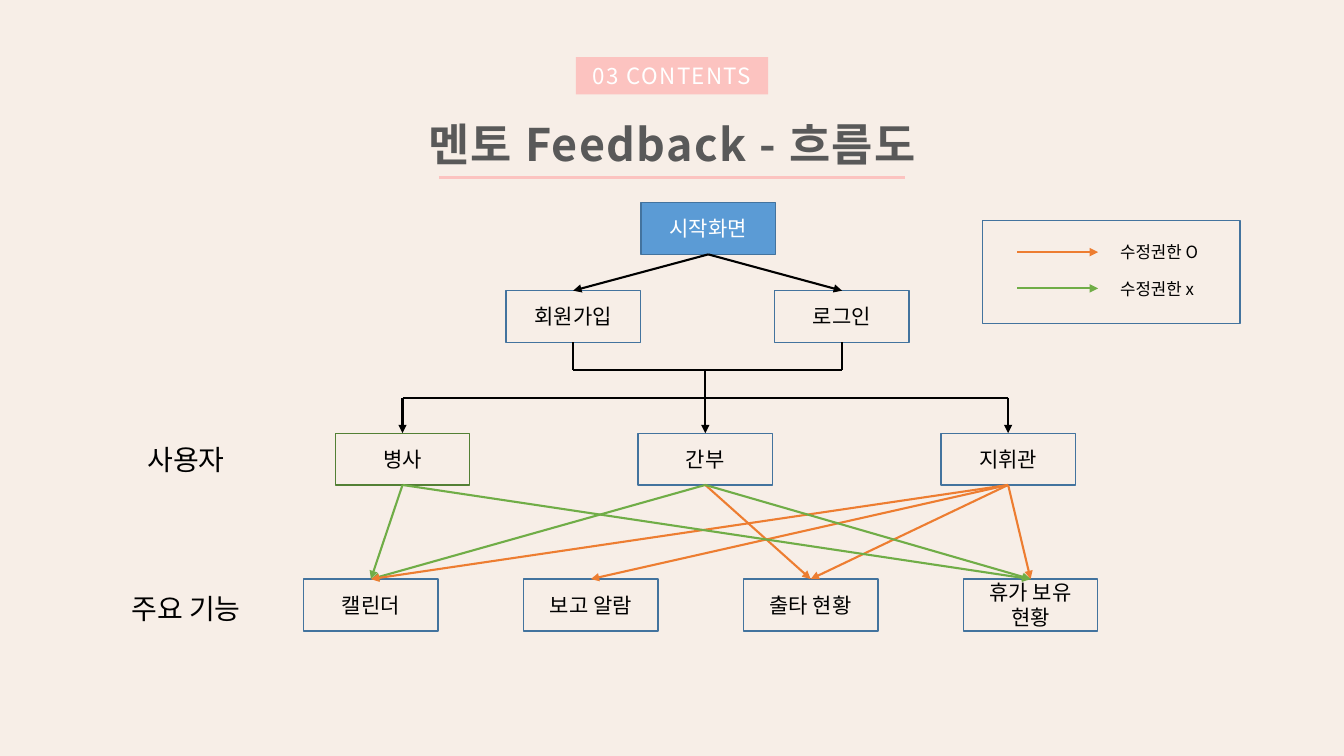
from lxml.etree import SubElement
from pptx import Presentation
from pptx.dml.color import RGBColor
from pptx.enum.shapes import MSO_CONNECTOR, MSO_SHAPE
from pptx.enum.text import MSO_ANCHOR, PP_ALIGN
from pptx.oxml.ns import qn
from pptx.util import Inches, Pt

FONT = "Noto Sans CJK KR"
CREAM = RGBColor(0xF7, 0xEE, 0xE7)
PINK = RGBColor(0xFC, 0xC3, 0xC0)
WHITE = RGBColor(0xFF, 0xFF, 0xFF)
BLACK = RGBColor(0, 0, 0)
GRAY = RGBColor(0x59, 0x59, 0x59)
BLUE = RGBColor(0x5B, 0x9B, 0xD5)
NAVY = RGBColor(0x43, 0x73, 0x9E)
DARK_GREEN = RGBColor(0x53, 0x80, 0x35)
ORANGE = RGBColor(0xED, 0x7D, 0x31)
GREEN = RGBColor(0x70, 0xAD, 0x47)

deck = Presentation()
deck.slide_width = Inches(13.33)
deck.slide_height = Inches(7.5)
page = deck.slides.add_slide(deck.slide_layouts[6])
page.background.fill.solid()
page.background.fill.fore_color.rgb = CREAM

# A grid of 100 columns by 100 rows covers the slide.
COLUMN = deck.slide_width / 100
ROW = deck.slide_height / 100
NODE_WIDTH, NODE_HEIGHT = 10, 6.85
TOP, BOTTOM = 0, 2  # connection sites of a rectangle


def add_box(label, center, top, width=NODE_WIDTH, height=NODE_HEIGHT, size=15,
            color=BLACK, fill=None, outline=None, align=PP_ALIGN.CENTER):
    """Add a rectangle, or a text box when it has neither fill nor outline."""
    frame = [round(length) for length in ((center - width / 2) * COLUMN, top * ROW,
                                          width * COLUMN, height * ROW)]
    if fill is None and outline is None:
        box = page.shapes.add_textbox(*frame)
    else:
        box = page.shapes.add_shape(MSO_SHAPE.RECTANGLE, *frame)
        box.shadow.inherit = False
    if fill is None:
        box.fill.background()
    else:
        box.fill.solid()
        box.fill.fore_color.rgb = fill
    if outline is None:
        box.line.fill.background()
    else:
        box.line.color.rgb = outline
        box.line.width = Pt(1)
    box.text_frame.word_wrap = True
    box.text_frame.vertical_anchor = MSO_ANCHOR.MIDDLE
    box.text_frame.text = label
    para = box.text_frame.paragraphs[0]
    para.alignment = align
    for span in para.runs:
        span.font.name = FONT
        span.font.size = Pt(size)
        span.font.color.rgb = color
        SubElement(span.font._element, qn("a:ea")).set("typeface", FONT)
    return box


def add_line(start, end, color=BLACK, width=1.5, arrow=False):
    """Join two (column, row) points, or the bottom of one box to the top of another."""
    line = page.shapes.add_connector(MSO_CONNECTOR.STRAIGHT, 0, 0, 0, 0)
    if isinstance(start, tuple):
        line.begin_x, line.begin_y = round(start[0] * COLUMN), round(start[1] * ROW)
    else:
        line.begin_connect(start, BOTTOM)
    if isinstance(end, tuple):
        line.end_x, line.end_y = round(end[0] * COLUMN), round(end[1] * ROW)
    else:
        line.end_connect(end, TOP)
    line.line.color.rgb = color
    line.line.width = Pt(width)
    if arrow:
        SubElement(line.line._get_or_add_ln(), qn("a:tailEnd")).set("type", "triangle")
    SubElement(line._element.spPr, qn("a:effectLst"))


# Heading
section = add_box("03 CONTENTS", 50, 7.55, 14.3, 4.95, 16, WHITE, fill=PINK)
title = add_box("멘토 Feedback - 흐름도", 50, 14.7, 44, 8.5, 32, GRAY)
title.text_frame.paragraphs[0].runs[0].font.bold = True
for heading in (section, title):
    heading.text_frame.paragraphs[0].runs[0].font._element.set("spc", "100")
add_line((32.65, 23.5), (67.35, 23.5), PINK, 2.5)

# Row labels
for label, top in (("사용자", 57.3), ("주요 기능", 77.1)):
    add_box(label, 13.85, top, 14, size=20)

# Boxes of the flow
start_screen = add_box("시작화면", 52.7, 26.8, color=WHITE, fill=BLUE, outline=NAVY)
entries = [add_box(label, 42.65 + 20 * index, 38.45, outline=NAVY)
           for index, label in enumerate(("회원가입", "로그인"))]
USER_COLUMNS = [29.95 + 22.53 * index for index in range(3)]
soldier, officer, commander = [
    add_box(label, center, 57.3, outline=outline)
    for label, center, outline in zip(("병사", "간부", "지휘관"), USER_COLUMNS,
                                      (DARK_GREEN, NAVY, NAVY))]
calendar, alarm, outing, leave = [
    add_box(label, 27.6 + 16.36 * index, 76.6, outline=NAVY)
    for index, label in enumerate(("캘린더", "보고 알람", "출타 현황", "휴가 보유 현황"))]

# Start screen to entries, then down to the users
ENTRY_RAIL, USER_RAIL = 48.95, 52.6
for index, entry in enumerate(entries):
    add_line(start_screen, entry, arrow=True)
    add_line(entry, (42.65 + 20 * index, ENTRY_RAIL))
add_line((42.65, ENTRY_RAIL), (62.65, ENTRY_RAIL))
add_line((USER_COLUMNS[0], USER_RAIL), (USER_COLUMNS[2], USER_RAIL))
for user, center, rail in zip((soldier, officer, commander), USER_COLUMNS,
                              (USER_RAIL, ENTRY_RAIL, USER_RAIL)):
    add_line((center, rail), user, arrow=True)

# Permissions of each user
for user, feature, color in (
        (commander, outing, ORANGE), (soldier, calendar, GREEN),
        (officer, calendar, GREEN), (commander, calendar, ORANGE),
        (commander, alarm, ORANGE), (officer, outing, ORANGE),
        (commander, leave, ORANGE), (soldier, leave, GREEN),
        (officer, leave, GREEN)):
    add_line(user, feature, color, arrow=True)

# Legend
add_box("", 82.7, 29.2, 19.15, 13.6, outline=NAVY)
for index, (label, color) in enumerate((("수정권한 O", ORANGE), ("수정권한 x", GREEN))):
    middle = 33.35 + 4.8 * index
    add_line((75.7, middle), (81.7, middle), color, arrow=True)
    add_box(label, 87.15, middle - 2, 9.1, 4, 12, align=PP_ALIGN.LEFT)

deck.save("out.pptx")
